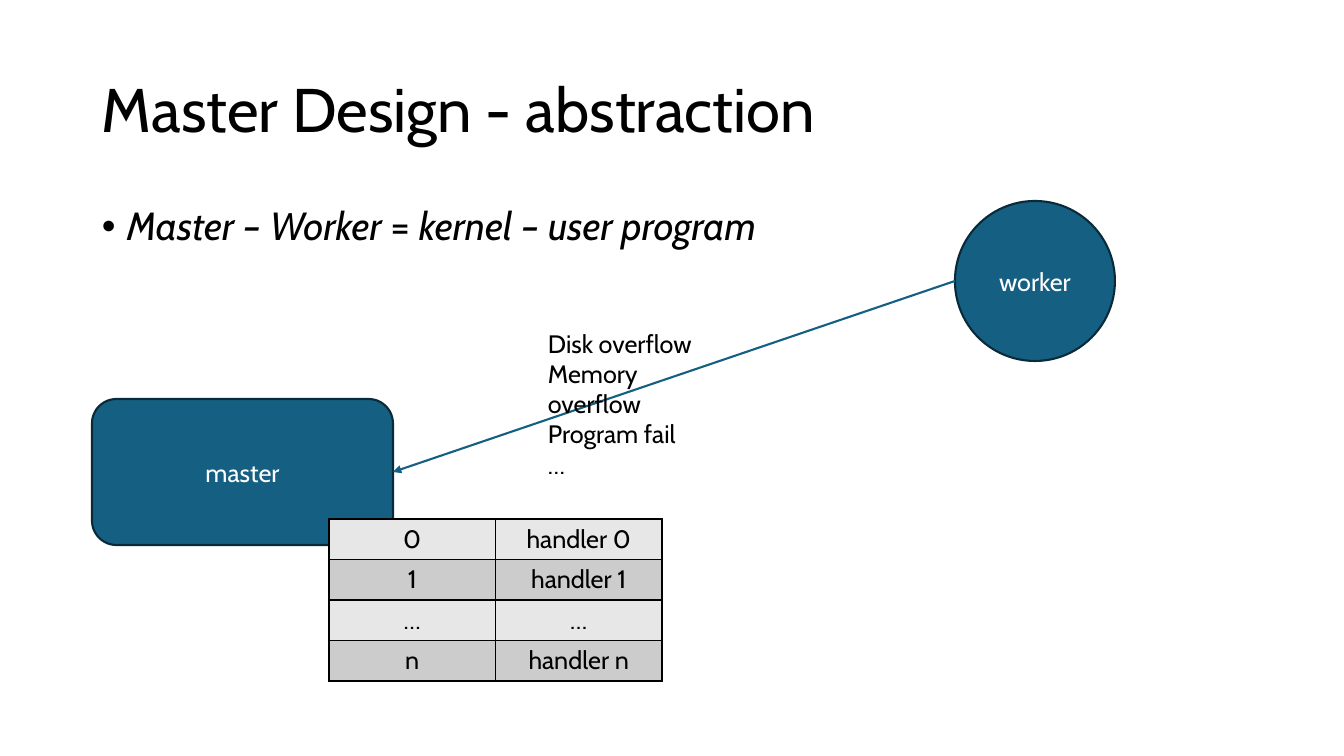
from lxml.etree import SubElement
from pptx import Presentation
from pptx.dml.color import RGBColor
from pptx.enum.shapes import MSO_CONNECTOR, MSO_SHAPE
from pptx.enum.text import MSO_ANCHOR, PP_ALIGN
from pptx.oxml.ns import qn
from pptx.util import Emu, Pt

TITLE = [[("Master Design - abstraction", False)]]
STATEMENT = [[("Master – Worker ", True), ("= ", False), ("kernel – user program", True)]]
FAULTS = [[(line, False)] for line in ("Disk overflow", "Memory overflow", "Program fail", "…")]
HANDLERS = [("0", "handler 0"), ("1", "handler 1"), ("…", "…"), ("n", "handler n")]

# left, top, width, height in px
SLIDE_SIZE = (1344, 756)
TITLE_BOX = (92, 40, 1159, 146)
STATEMENT_BOX = (92, 202, 1159, 480)
MASTER_BOX = (92, 399, 301, 146)
WORKER_BOX = (955, 201, 160, 160)
FAULTS_BOX = (538, 323, 200, 132)
TABLE_BOX = (329, 519, 333, 162)
BULLET_INDENT = 25

COLORS = {"text": "000000", "light": "FFFFFF", "node": "156082", "edge": "092A39",
          "border": "000000", "odd_row": "E7E7E7", "even_row": "CCCCCC"}
FONT = "Cabin"
BODY = {"size": 18, "color": "text"}
NODE = {"size": 18, "color": "light", "alignment": PP_ALIGN.CENTER}
CELL = {"size": 18, "color": "text", "alignment": PP_ALIGN.CENTER}
HEADING = {"size": 44, "color": "text", "line_spacing": 0.9}
BULLET = {"size": 28, "color": "text", "line_spacing": 0.9, "bullet": "•"}
SCALE = 12192000 / SLIDE_SIZE[0]


def px(value):
    return Emu(round(value * SCALE))


def color(name):
    return RGBColor.from_string(COLORS[name])


def add_bullet(paragraph, character):
    properties = paragraph._p.get_or_add_pPr()
    properties.set("marL", str(px(BULLET_INDENT)))
    properties.set("indent", str(-px(BULLET_INDENT)))
    SubElement(properties, qn("a:buFont"), typeface="Arial")
    SubElement(properties, qn("a:buChar"), char=character)


def write(frame, paragraphs, style):
    """Fill a text frame with paragraphs, each a list of (text, italic) runs."""
    for index, runs in enumerate(paragraphs):
        paragraph = frame.add_paragraph() if index else frame.paragraphs[0]
        if "bullet" in style:
            add_bullet(paragraph, style["bullet"])
        for attribute in ("alignment", "line_spacing"):
            if attribute in style:
                setattr(paragraph, attribute, style[attribute])
        for text, italic in runs:
            run = paragraph.add_run()
            run.text = text
            values = {"name": FONT, "size": Pt(style["size"]), "italic": italic}
            for attribute, value in values.items():
                setattr(run.font, attribute, value)
            run.font.color.rgb = color(style["color"])


def add_text(slide, box, paragraphs, style, anchor=MSO_ANCHOR.TOP):
    frame = slide.shapes.add_textbox(*map(px, box)).text_frame
    frame.word_wrap = True
    frame.vertical_anchor = anchor
    write(frame, paragraphs, style)


def add_node(slide, preset, box, label):
    shape = slide.shapes.add_shape(preset, *map(px, box))
    shape.shadow.inherit = False
    shape.fill.solid()
    shape.fill.fore_color.rgb = color("node")
    shape.line.color.rgb = color("edge")
    shape.line.width = Pt(1.5)
    shape.text_frame.vertical_anchor = MSO_ANCHOR.MIDDLE
    write(shape.text_frame, [[(label, False)]], NODE)


def add_arrow(slide, source, target):
    """Point from the left middle of source to the right middle of target."""
    start = (source[0], source[1] + source[3] / 2)
    end = (target[0] + target[2], target[1] + target[3] / 2)
    arrow = slide.shapes.add_connector(MSO_CONNECTOR.STRAIGHT, *map(px, start + end))
    arrow.line.color.rgb = color("node")
    arrow.line.width = Pt(1.5)
    SubElement(arrow.line._get_or_add_ln(), qn("a:tailEnd"), type="triangle")
    SubElement(arrow._element.spPr, qn("a:effectLst"))


def add_borders(cell):
    properties = cell._tc.get_or_add_tcPr()
    for position, side in enumerate(("lnL", "lnR", "lnT", "lnB")):
        line = SubElement(properties, qn(f"a:{side}"), w=str(Pt(1)))
        fill = SubElement(line, qn("a:solidFill"))
        SubElement(fill, qn("a:srgbClr"), val=COLORS["border"])
        properties.insert(position, line)


def add_handler_table(slide):
    size = (len(HANDLERS), len(HANDLERS[0]))
    table = slide.shapes.add_table(*size, *map(px, TABLE_BOX)).table
    table.first_row = False
    for row_index, row in enumerate(HANDLERS):
        for column_index, text in enumerate(row):
            cell = table.cell(row_index, column_index)
            cell.fill.solid()
            cell.fill.fore_color.rgb = color("even_row" if row_index % 2 else "odd_row")
            add_borders(cell)
            write(cell.text_frame, [[(text, False)]], CELL)


def main():
    presentation = Presentation()
    presentation.slide_width, presentation.slide_height = map(px, SLIDE_SIZE)
    slide = presentation.slides.add_slide(presentation.slide_layouts[6])
    add_text(slide, TITLE_BOX, TITLE, HEADING, MSO_ANCHOR.MIDDLE)
    add_text(slide, STATEMENT_BOX, STATEMENT, BULLET)
    add_node(slide, MSO_SHAPE.ROUNDED_RECTANGLE, MASTER_BOX, "master")
    add_node(slide, MSO_SHAPE.OVAL, WORKER_BOX, "worker")
    add_arrow(slide, WORKER_BOX, MASTER_BOX)
    add_text(slide, FAULTS_BOX, FAULTS, BODY)
    add_handler_table(slide)
    presentation.save("out.pptx")


if __name__ == "__main__":
    main()
